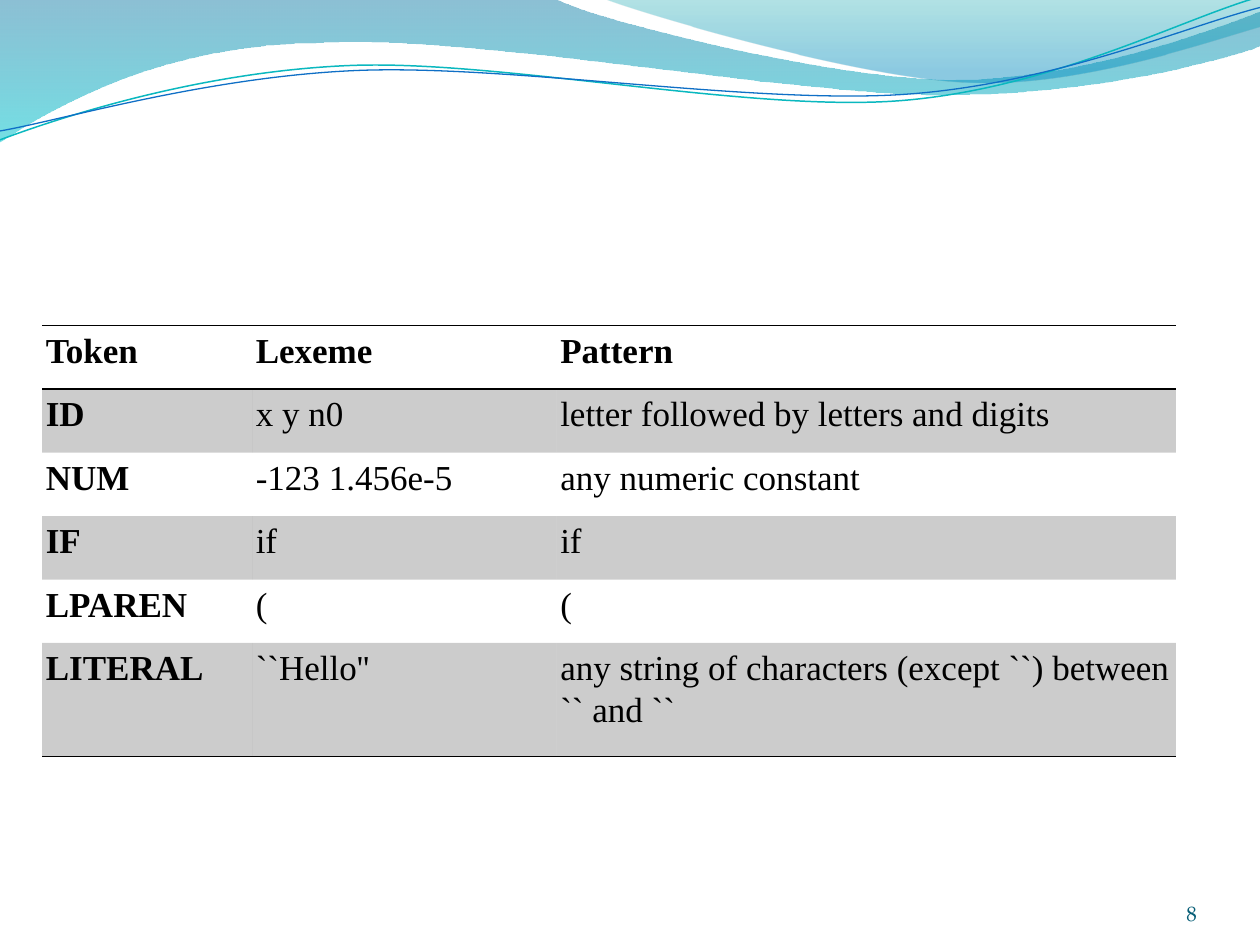
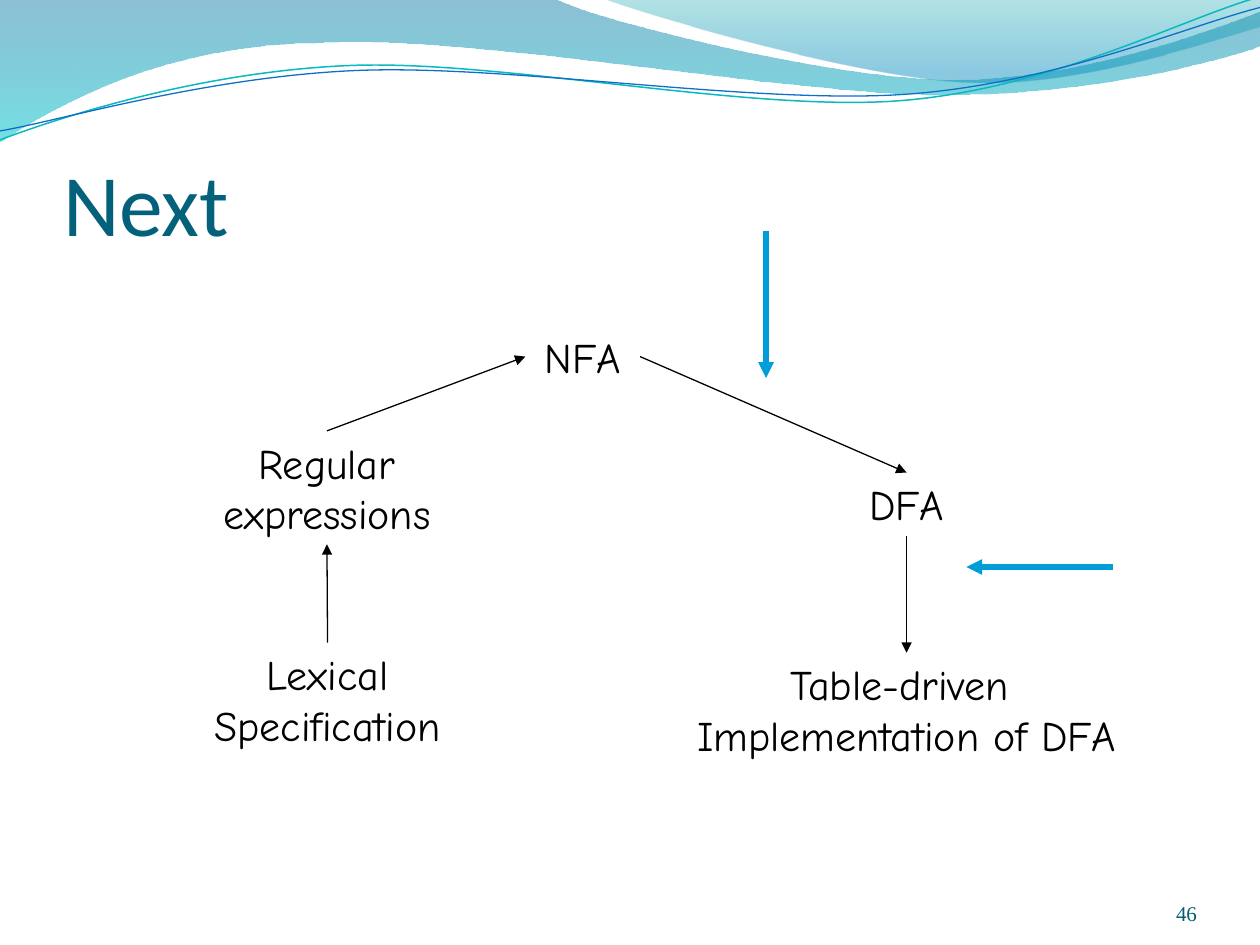
from itertools import chain
from math import cos, radians, sin

from lxml.etree import SubElement
from pptx import Presentation
from pptx.dml.color import RGBColor
from pptx.enum.shapes import MSO_CONNECTOR
from pptx.enum.text import MSO_ANCHOR, MSO_AUTO_SIZE, PP_ALIGN
from pptx.oxml.ns import qn
from pptx.util import Inches, Pt

BLACK = RGBColor(0x00, 0x00, 0x00)
TITLE_TEAL = RGBColor(0x04, 0x61, 0x7B)
NUMBER_TEAL = RGBColor(0x04, 0x5C, 0x75)
POINTER_BLUE = RGBColor(0x00, 0x9D, 0xD9)
CURVE_TEAL = RGBColor(0x0A, 0xB8, 0xBF)
CURVE_BLUE = RGBColor(0x0F, 0x6F, 0xC6)
# Gradient stops: position, colour, opacity in percent
WIDE_WAVE_STOPS = [(0, RGBColor(0x00, 0x74, 0xA1), 45), (1, RGBColor(0x00, 0xC6, 0xCF), 55)]
RIGHT_WAVE_STOPS = [(0, RGBColor(0x00, 0xA1, 0xA9), 30), (0.8, RGBColor(0x00, 0x8B, 0xBF), 45)]

SERIF = "Times New Roman"
NO_TABLE_STYLE = "{2D5ABB26-0587-4C30-8999-92F81FD0307C}"
TOP, LEFT, BOTTOM, RIGHT = range(4)
CURVE_TILT = 2.7

# Each outline is a start point, then segments: one point for a line, three for a curve.
WIDE_WAVE = [
    [(0, -0.01)],
    [(4.4, -0.01)],
    [(4.76, 0.17), (6.64, 0.63), (7.58, 0.63)],
    [(8.53, 0.63), (9.58, 0.26), (10, 0.09)],
    [(10.01, 0.36)],
    [(9.83, 0.44), (8.7, 0.76), (7.46, 0.75)],
    [(6.22, 0.75), (3.82, 0.28), (2.57, 0.34)],
    [(1.29, 0.35), (0.46, 0.83), (-0.01, 1.13)],
    [(0, -0.01)],
]
RIGHT_WAVE = [
    [(4.79, -0.01)],
    [(5.09, 0.11), (6.82, 0.62), (7.69, 0.65)],
    [(8.56, 0.69), (9.61, 0.32), (10, 0.21)],
    [(10, 0)],
    [(4.79, -0.01)],
]
TEAL_CURVE = [
    [(0, 1.11)],
    [(0.48, 0.93), (1.58, 0.57), (2.77, 0.52)],
    [(3.95, 0.47), (5.93, 0.89), (7.13, 0.8)],
    [(8.33, 0.71), (9.38, 0.15), (9.98, -0.02)],
]
BLUE_CURVE = [
    [(0, 1.04)],
    [(0.47, 0.96), (1.64, 0.61), (2.83, 0.56)],
    [(4.03, 0.51), (5.97, 0.83), (7.17, 0.75)],
    [(8.36, 0.67), (9.41, 0.21), (10, 0.06)],
]

TOKEN_ROWS = [
    ("Token", "Lexeme", "Pattern"),
    ("ID", "x y n0", "letter followed by letters and digits"),
    ("NUM", "-123 1.456e-5", "any numeric constant"),
    ("IF", "if", "if"),
    ("LPAREN", "(", "("),
    ("LITERAL", "``Hello''", "any string of characters (except ``) between `` and ``"),
]


def add_outline(slide, outline, close):
    """Add a freeform whose three-point segments are cubic curves."""
    start, *rest = [(Inches(x), Inches(y)) for x, y in chain(*outline)]
    builder = slide.shapes.build_freeform(*start)
    builder.add_line_segments(rest, close=close)
    shape = builder.convert_to_shape()
    shape.shadow.inherit = False
    lines = iter(shape.element.xpath(".//a:lnTo"))
    for segment in outline[1:]:
        parts = [next(lines) for _ in segment]
        if len(parts) == 3:
            curve = parts[0].makeelement(qn("a:cubicBezTo"))
            parts[0].addprevious(curve)
            for part in parts:
                curve.append(part[0])
                part.getparent().remove(part)
    return shape


def turn(outline, center, degrees):
    """Turn an outline clockwise about a center."""
    (cx, cy), angle = center, radians(degrees)
    return [[(cx + (x - cx) * cos(angle) - (y - cy) * sin(angle),
              cy + (x - cx) * sin(angle) + (y - cy) * cos(angle)) for x, y in segment]
            for segment in outline]


def set_opacity(color_element, percent):
    SubElement(color_element, qn("a:alpha"), val=str(percent * 1000))


def add_wave(slide, outline, stops):
    wave = add_outline(slide, outline, close=True)
    wave.line.fill.background()
    wave.fill.gradient()
    wave.fill.gradient_angle = 270
    for stop, (position, color, _) in zip(wave.fill.gradient_stops, stops):
        stop.position = position
        stop.color.rgb = color
    for color_element, (_, _, opacity) in zip(wave.element.xpath(".//a:gs/a:srgbClr"), stops):
        set_opacity(color_element, opacity)


def add_curve(slide, outline, center, color, width):
    """Add a thin curve, drawn level and then tilted about its center."""
    curve = add_outline(slide, turn(outline, center, CURVE_TILT), close=False)
    curve.rotation = 360 - CURVE_TILT
    curve.fill.background()
    curve.line.color.rgb = color
    curve.line.width = Pt(width)


def set_font(paragraph, name, size, color, bold=False):
    font = paragraph.font
    font.name, font.size, font.bold = name, Pt(size), bold
    font.color.rgb = color


def add_slide(prs, layout, number, number_font):
    """Add a slide with the waves at the top and its number at the bottom right."""
    slide = prs.slides.add_slide(prs.slide_layouts.get_by_name(layout))
    add_wave(slide, WIDE_WAVE, WIDE_WAVE_STOPS)
    add_wave(slide, RIGHT_WAVE, RIGHT_WAVE_STOPS)
    add_curve(slide, TEAL_CURVE, (4.99, 0.58), CURVE_TEAL, 0.85)
    add_curve(slide, BLUE_CURVE, (5, 0.59), CURVE_BLUE, 0.75)

    frame = slide.shapes.add_textbox(
        Inches(8.67), Inches(6.95), Inches(0.83), Inches(0.4)).text_frame
    frame.word_wrap = True
    frame.vertical_anchor = MSO_ANCHOR.BOTTOM
    frame.margin_left = frame.margin_right = frame.margin_top = frame.margin_bottom = 0
    frame.text = str(number)
    frame.paragraphs[0].alignment = PP_ALIGN.RIGHT
    set_font(frame.paragraphs[0], number_font, 12, NUMBER_TEAL)
    return slide


def set_title(slide, text):
    title = slide.shapes.title
    title.left, title.top = Inches(0.5), Inches(0.77)
    title.width, title.height = Inches(9), Inches(1.25)
    frame = title.text_frame
    frame.text = text
    frame.vertical_anchor = MSO_ANCHOR.BOTTOM
    frame.margin_left = frame.margin_right = frame.margin_bottom = 0
    frame.margin_top = Inches(0.05)
    frame.paragraphs[0].alignment = PP_ALIGN.LEFT
    set_font(frame.paragraphs[0], "Calibri", 50, TITLE_TEAL)


def add_rule(cell, side):
    """Draw a black border on one side of a cell: lnT or lnB."""
    rule = SubElement(cell._tc.get_or_add_tcPr(), qn(f"a:{side}"), w=str(Pt(1)))
    SubElement(SubElement(rule, qn("a:solidFill")), qn("a:srgbClr"), val=str(BLACK))


def fill_cell(cell, text, bold, shaded):
    cell.text = text
    cell.margin_left = cell.margin_right = Inches(0.03)
    cell.margin_top = cell.margin_bottom = Inches(0.03)
    paragraph = cell.text_frame.paragraphs[0]
    paragraph.line_spacing = 1.07
    set_font(paragraph, SERIF, 20, BLACK, bold)
    if shaded:
        cell.fill.solid()
        cell.fill.fore_color.rgb = BLACK
        set_opacity(cell._tc.xpath("./a:tcPr/a:solidFill/a:srgbClr")[0], 20)
    else:
        cell.fill.background()


def add_token_table(slide):
    height, last_height = 3.42, 0.9
    last = len(TOKEN_ROWS) - 1
    row_height = (height - last_height) / last
    frame = slide.shapes.add_table(len(TOKEN_ROWS), 3, Inches(4 / 12), Inches(31 / 12),
                                   Inches(9), Inches(height))
    frame._element.xpath(".//a:tableStyleId")[0].text = NO_TABLE_STYLE
    table = frame.table
    table.horz_banding = False
    for column, twelfths in zip(table.columns, (20, 29, 59)):
        column.width = Inches(twelfths / 12)
    for r, texts in enumerate(TOKEN_ROWS):
        table.rows[r].height = Inches(last_height if r == last else row_height)
        for c, text in enumerate(texts):
            cell = table.cell(r, c)
            if r == 0:
                add_rule(cell, "lnT")
            if r in (0, last):
                add_rule(cell, "lnB")
            fill_cell(cell, text, bold=r == 0 or c == 0, shaded=r % 2 == 1)


def add_stage(slide, text, left, top, width, height):
    """Add one stage of the flow, centred and without wrapping."""
    stage = slide.shapes.add_textbox(Inches(left), Inches(top), Inches(width), Inches(height))
    frame = stage.text_frame
    frame.word_wrap = False
    frame.auto_size = MSO_AUTO_SIZE.SHAPE_TO_FIT_TEXT
    frame.text = text
    for paragraph in frame.paragraphs:
        paragraph.alignment = PP_ALIGN.CENTER
        set_font(paragraph, "Comic Neue", 24, BLACK)
    return stage


def add_arrow(slide, start, end, color, width):
    arrow = slide.shapes.add_connector(
        MSO_CONNECTOR.STRAIGHT, *(Inches(value) for value in (*start, *end)))
    arrow.line.color.rgb = color
    arrow.line.width = Pt(width)
    properties = arrow._element.spPr
    SubElement(properties.find(qn("a:ln")), qn("a:tailEnd"), type="triangle")
    SubElement(properties, qn("a:effectLst"))
    return arrow


def join_stages(slide, source, source_side, target, target_side):
    arrow = add_arrow(slide, (0, 0), (0, 0), BLACK, 0.75)
    arrow.begin_connect(source, source_side)
    arrow.end_connect(target, target_side)


def build_token_slide(prs):
    slide = add_slide(prs, "Blank", 8, "TeX Gyre Pagella")
    add_token_table(slide)


def build_next_slide(prs):
    slide = add_slide(prs, "Title Only", 46, SERIF)
    set_title(slide, "Next")
    regular = add_stage(slide, "Regular\nexpressions", 1.58, 3.42, 2.03, 0.9)
    nfa = add_stage(slide, "NFA", 4.17, 2.58, 0.91, 0.5)
    dfa = add_stage(slide, "DFA", 6.75, 3.75, 0.89, 0.5)
    lexical = add_stage(slide, "Lexical\nSpecification", 1.47, 5.1, 2.26, 0.9)
    table_driven = add_stage(slide, "Table-driven \nImplementation of DFA",
                             5.26, 5.18, 3.87, 0.9)
    join_stages(slide, lexical, TOP, regular, BOTTOM)
    join_stages(slide, regular, TOP, nfa, LEFT)
    join_stages(slide, nfa, RIGHT, dfa, TOP)
    join_stages(slide, dfa, BOTTOM, table_driven, TOP)
    add_arrow(slide, (6.08, 1.83), (6.08, 3), POINTER_BLUE, 3)
    add_arrow(slide, (8.83, 4.5), (7.67, 4.5), POINTER_BLUE, 3)


def main():
    prs = Presentation()
    prs.slide_width, prs.slide_height = Inches(10), Inches(7.5)
    build_token_slide(prs)
    build_next_slide(prs)
    prs.save("out.pptx")


if __name__ == "__main__":
    main()
